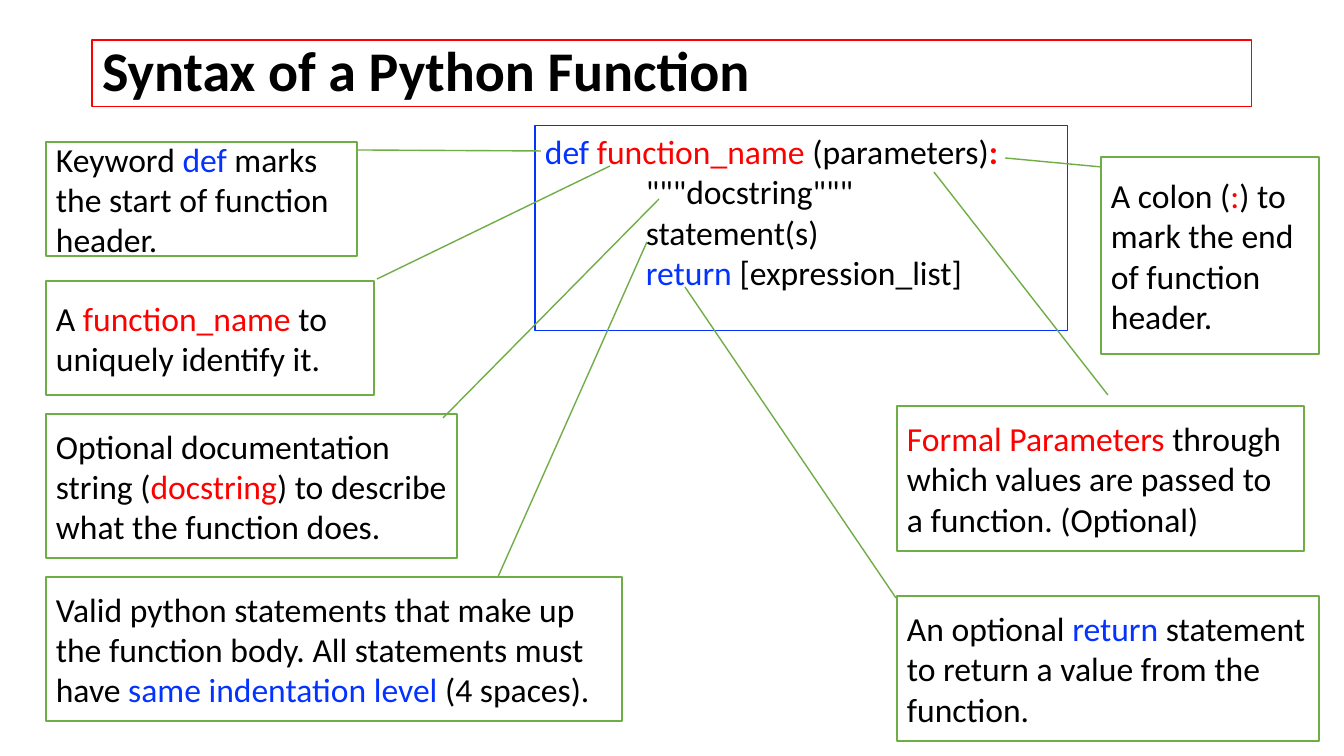
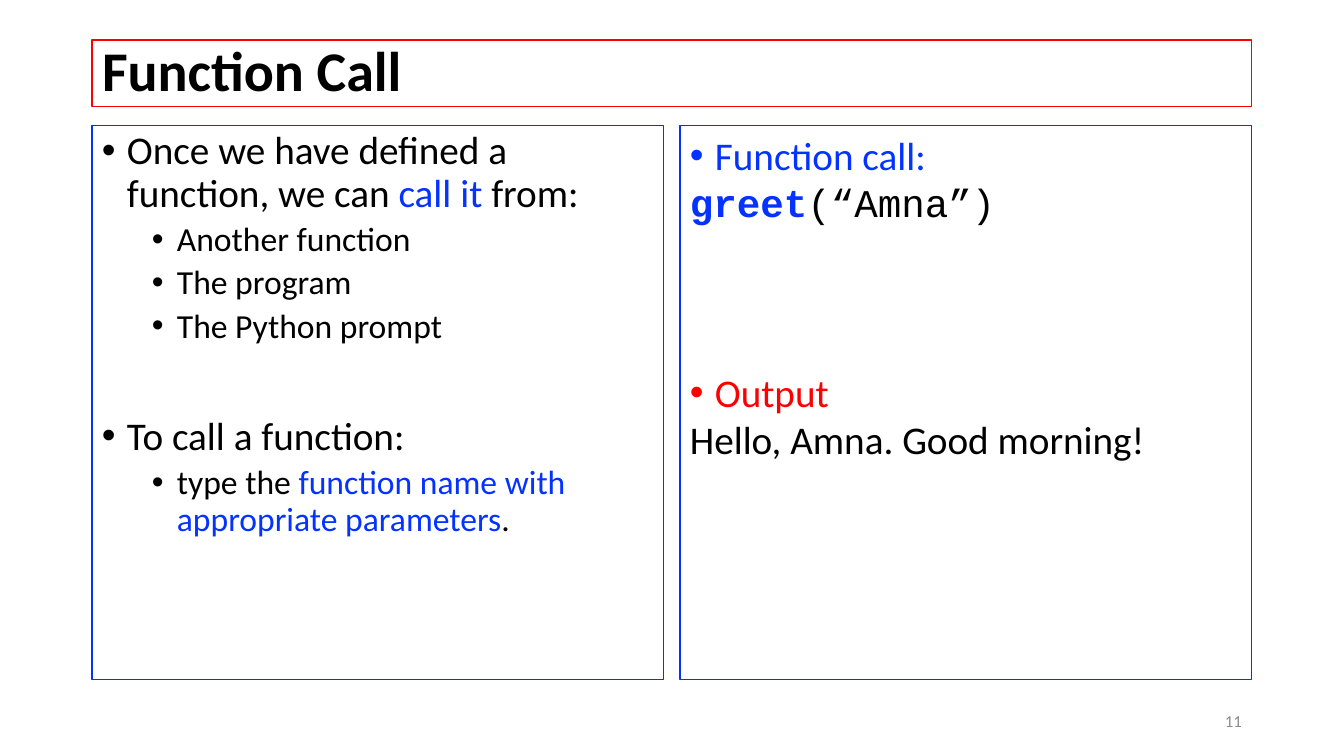
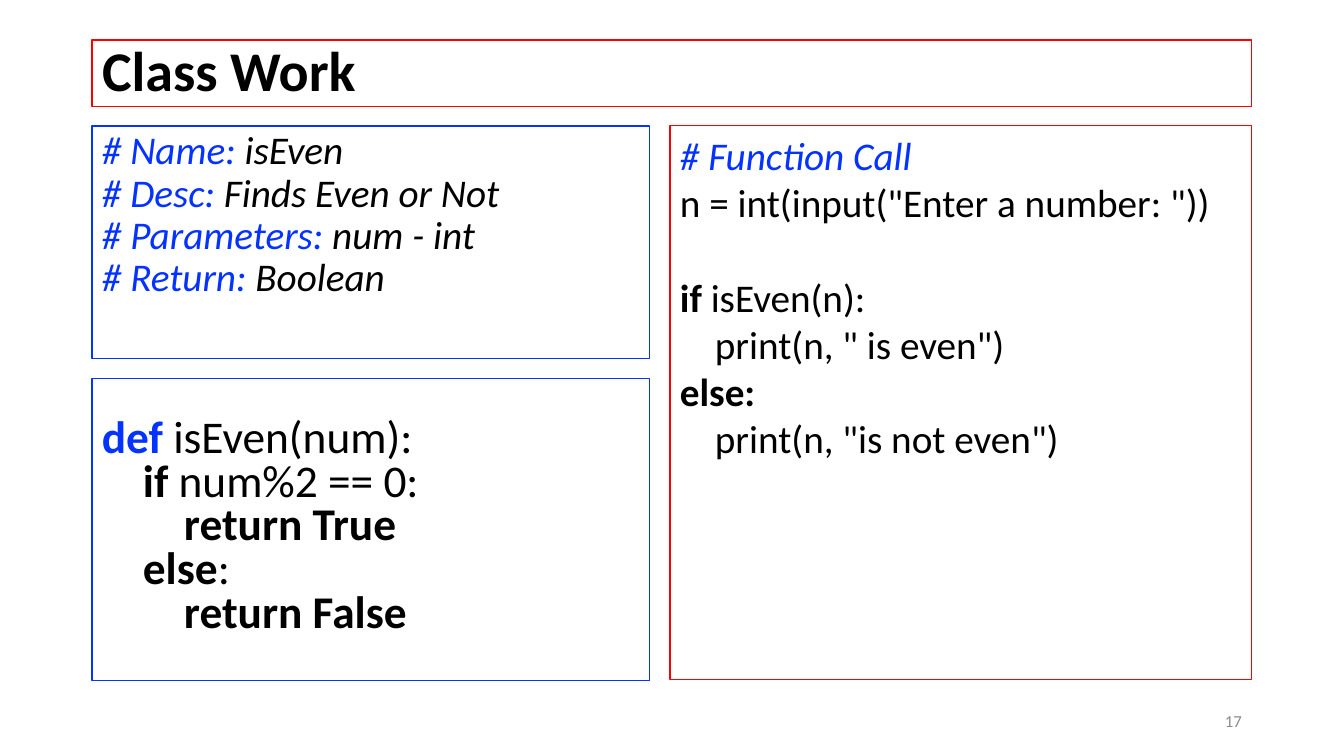
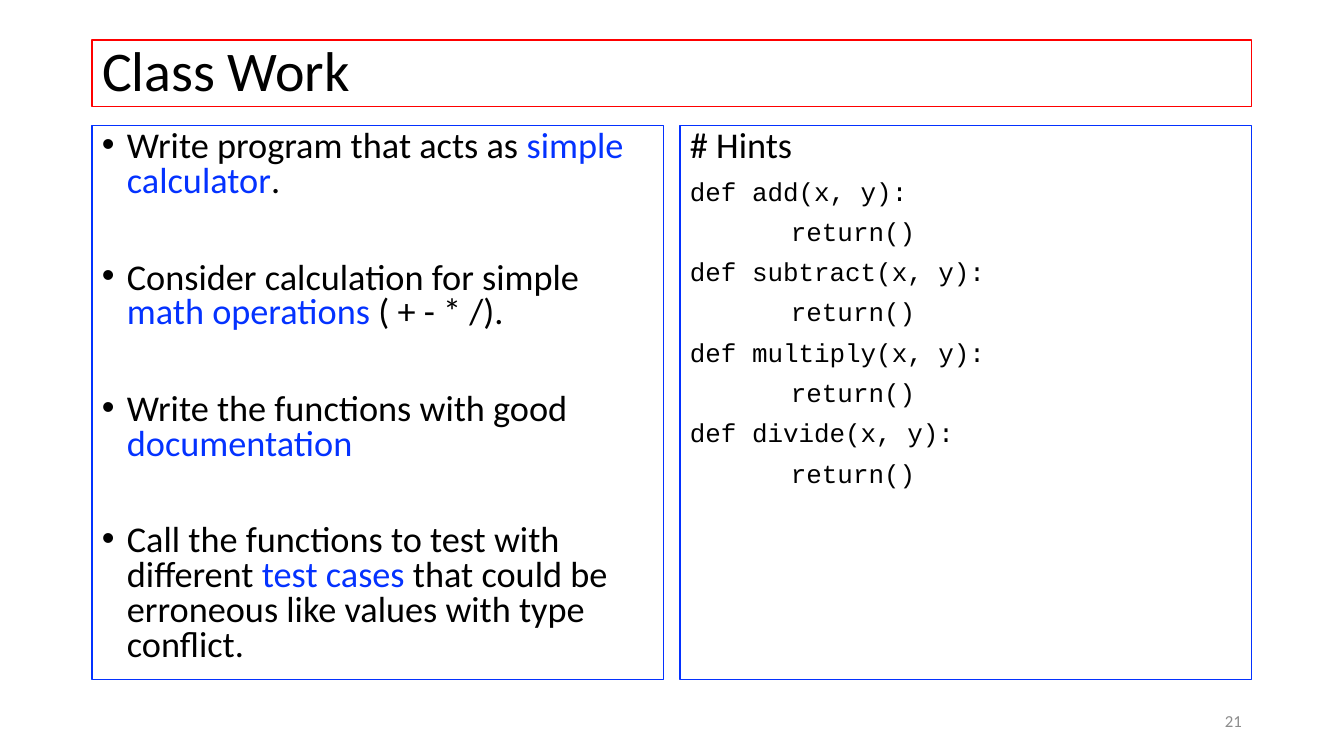
from dataclasses import dataclass

from lxml import etree
from pptx import Presentation
from pptx import util as u
from pptx.dml.color import RGBColor
from pptx.enum import shapes, text
from pptx.oxml.ns import qn

WIDTH, HEIGHT = 1344, 756
EMU_PER_PX = u.Inches(7.5) / HEIGHT


@dataclass(frozen=True)
class Theme:
    font: str = "Calibri"
    mono: str = "Courier New"
    black: RGBColor = RGBColor(0, 0, 0)
    white: RGBColor = RGBColor(255, 255, 255)
    blue: RGBColor = RGBColor(0x04, 0x32, 0xFF)
    red: RGBColor = RGBColor(0xFF, 0, 0)
    green: RGBColor = RGBColor(0x70, 0xAD, 0x47)
    grey: RGBColor = RGBColor(0x8C, 0x8C, 0x8C)
    title: float = 40
    body: float = 28
    small: float = 24
    listing: float = 32.4
    tight: float = 25.9
    mono_small: float = 18.5
    number: float = 12


THEME = Theme()
LEFT, TOP, PANEL_W, PANEL_H = 92, 126, 572, 554
RIGHT = 680
TAB = 101
ANCHOR = text.MSO_ANCHOR
ALIGN = text.PP_ALIGN


def px(n):
    return u.Emu(round(n * EMU_PER_PX))


def styled(words, **fmt):
    return words, fmt


def blue(words, **fmt):
    return styled(words, color=THEME.blue, **fmt)


def red(words, **fmt):
    return styled(words, color=THEME.red, **fmt)


def bold(words):
    return styled(words, bold=True)


def para(*runs, indent=0, bullet=False, before=0, **fmt):
    """Describe a paragraph; a run is a string or a (string, format) pair."""
    return {"runs": runs, "indent": indent, "bullet": bullet,
            "before": before, "fmt": fmt}


class Deck:
    def __init__(self, theme):
        self.theme = theme
        self.prs = Presentation()
        self.prs.slide_width, self.prs.slide_height = px(WIDTH), px(HEIGHT)
        self.s = None

    def slide(self, title, bold=True):
        self.s = self.prs.slides.add_slide(self.prs.slide_layouts[5])
        sp = self.s.shapes.title
        sp.left, sp.top, sp.width, sp.height = map(px, (LEFT, 40, 1160, 67))
        self.outline(sp, self.theme.red)
        self.set_text(sp.text_frame, [para(title, bold=bold)],
                      self.theme.title, spacing=0.9, anchor=ANCHOR.MIDDLE)

    def outline(self, sp, color, width=0.75):
        sp.line.color.rgb = color
        sp.line.width = u.Pt(width)

    def set_text(self, tf, paras, size, spacing=1.0, anchor=ANCHOR.TOP,
                 align=ALIGN.LEFT):
        frame = {"word_wrap": True, "auto_size": text.MSO_AUTO_SIZE.NONE,
                 "vertical_anchor": anchor}
        for name, value in frame.items():
            setattr(tf, name, value)
        for i, item in enumerate(paras):
            p = tf.add_paragraph() if i else tf.paragraphs[0]
            layout = {"alignment": align, "line_spacing": spacing,
                      "space_before": u.Pt(item["before"]),
                      "space_after": u.Pt(0)}
            for name, value in layout.items():
                setattr(p, name, value)
            self.indent(p, item["indent"], item["bullet"])
            for run in item["runs"]:
                words, fmt = (run, {}) if isinstance(run, str) else run
                self.run(p, words, {"size": size, **item["fmt"], **fmt})

    def indent(self, p, indent, bullet):
        hang = 25 if bullet else 0
        pPr = p._p.get_or_add_pPr()
        pPr.set("marL", str(px(indent + hang)))
        pPr.set("indent", str(-px(hang)))
        if bullet:
            etree.SubElement(pPr, qn("a:buFont"), typeface="Arial")
            etree.SubElement(pPr, qn("a:buChar"), char="•")
        else:
            etree.SubElement(pPr, qn("a:buNone"))

    def run(self, p, words, fmt):
        r = p.add_run()
        r.text = words
        fmt = {"name": self.theme.font, "color": self.theme.black,
               "bold": False, "italic": False, **fmt}
        r.font.color.rgb = fmt.pop("color")
        fmt["size"] = u.Pt(fmt["size"])
        for name, value in fmt.items():
            setattr(r.font, name, value)

    def panel(self, box, paras, size, spacing=1.0, color=None, inset=5):
        sp = self.s.shapes.add_shape(shapes.MSO_SHAPE.RECTANGLE,
                                     *map(px, box))
        sp.shadow.inherit = False
        sp.fill.background()
        self.outline(sp, color or self.theme.blue)
        sp.text_frame.margin_top = px(inset)
        self.set_text(sp.text_frame, paras, size, spacing)

    def callout(self, box, start, end, *runs):
        """Add a bordered note whose leader runs from start to end."""
        sp = self.s.shapes.add_shape(shapes.MSO_SHAPE.LINE_CALLOUT_1,
                                     *map(px, box))
        left, top, width, height = box
        for i, (x, y) in enumerate((start, end)):
            sp.adjustments[2 * i] = (y - top) / height
            sp.adjustments[2 * i + 1] = (x - left) / width
        sp.shadow.inherit = False
        sp.fill.solid()
        sp.fill.fore_color.rgb = self.theme.white
        self.outline(sp, self.theme.green, 1)
        self.set_text(sp.text_frame, [para(*runs)], self.theme.small,
                      anchor=ANCHOR.MIDDLE)

    def number(self, n):
        sp = self.s.shapes.add_textbox(*map(px, (950, 701, 302, 40)))
        self.set_text(sp.text_frame, [para(str(n), color=self.theme.grey)],
                      self.theme.number, anchor=ANCHOR.MIDDLE,
                      align=ALIGN.RIGHT)


def syntax_slide(deck):
    deck.slide("Syntax of a Python Function")
    deck.panel((535, TOP, 533, 205), [
        para(blue("def "), red("function_name"), " (parameters)",
             red(":", bold=True)),
        para('"""docstring"""', indent=TAB),
        para("statement(s)", indent=TAB),
        para(blue("return"), " [expression_list]", indent=TAB),
    ], THEME.small)
    notes = [
        ((46, 142, 311, 114), (357, 150), (541, 151),
         "Keyword ", blue("def"), " marks the start of function header."),
        ((46, 281, 328, 114), (377, 279), (610, 166),
         "A ", red("function_name "), "to uniquely identify it."),
        ((897, 406, 407, 145), (1108, 395), (934, 172),
         red("Formal Parameters"),
         " through which values are passed to a function. (Optional)"),
        ((1101, 157, 218, 197), (1101, 167), (1005, 158),
         "A colon (", red(":"), ") to mark the end of function header."),
        ((46, 414, 411, 144), (443, 418), (659, 199),
         "Optional documentation string (", red("docstring"),
         ") to describe what the function does."),
        ((46, 577, 576, 144), (498, 577), (647, 242),
         "Valid python statements that make up the function body. "
         "All statements must have ", blue("same indentation level "),
         "(4 spaces)."),
        ((897, 596, 422, 145), (896, 598), (685, 287),
         "An optional ", blue("return"),
         " statement to return a value from the function."),
    ]
    for note in notes:
        deck.callout(*note)


def call_slide(deck):
    deck.slide("Function Call")
    sub = {"indent": 50, "bullet": True, "before": 5, "size": THEME.small}
    callers = ("Another function", "The program", "The Python prompt")
    deck.panel((LEFT, TOP, PANEL_W, PANEL_H), [
        para("Once we have defined a function, we can ", blue("call it "),
             "from:", bullet=True),
        *(para(caller, **sub) for caller in callers),
        para("To call a function:", bullet=True, before=50.8),
        para("type the ", blue("function name with appropriate parameters"),
             ".", **sub),
    ], THEME.body, 0.9)
    deck.panel((RIGHT, TOP, PANEL_W, PANEL_H), [
        para(blue("Function call:"), bullet=True),
        para(blue("greet", bold=True), "(“Amna”)", name=THEME.mono),
        para(red("Output"), bullet=True, before=102.5),
        para("Hello, Amna. Good morning!"),
    ], THEME.body)
    deck.number(11)


def even_slide(deck):
    deck.slide("Class Work")
    header = {"Name:": "isEven", "Desc:": "Finds Even or Not",
              "Parameters:": "num - int", "Return:": "Boolean"}
    deck.panel((LEFT, TOP, 558, 233), [
        para(blue(f"# {key} "), value, italic=True)
        for key, value in header.items()
    ], THEME.body, 0.9)
    deck.number(17)
    deck.panel((670, TOP, 582, PANEL_H), [
        para(blue("# Function Call"), italic=True),
        para('n = int(input("Enter a number: "))'),
        para(bold("if "), "isEven(n):", before=34.2),
        para('print(n, " is even")', indent=35),
        para(bold("else:")),
        para('print(n, "is not even")', indent=35),
    ], THEME.body, color=THEME.red)
    step = 41
    deck.panel((LEFT, 379, 558, 302), [
        para(blue("def ", bold=True), "isEven(num):"),
        para(bold("if "), "num%2 == 0:", indent=step),
        para(bold("return True"), indent=2 * step),
        para(bold("else"), ":", indent=step),
        para(bold("return False"), indent=2 * step),
    ], THEME.listing, 0.8, inset=40)


def calculator_slide(deck):
    deck.slide("Class Work", bold=False)
    tasks = [
        ("Write program that acts as ", blue("simple calculator"), "."),
        ("Consider calculation for simple ", blue("math operations "),
         "( + - * /)."),
        ("Write the functions with good ", blue("documentation")),
        ("Call the functions to test with different ", blue("test cases "),
         "that could be erroneous like values with type conflict."),
    ]
    deck.panel((LEFT, TOP, PANEL_W, PANEL_H),
               [para(*task, bullet=True, before=44) for task in tasks],
               THEME.tight, 0.8)
    mono = {"name": THEME.mono, "size": THEME.mono_small, "before": 11}
    hints = [para("# Hints")]
    for name in ("add", "subtract", "multiply", "divide"):
        hints += [para(f"def {name}(x, y):", **mono),
                  para("return()", indent=TAB, **mono)]
    deck.panel((RIGHT, TOP, PANEL_W, PANEL_H), hints, THEME.tight, 0.8)
    deck.number(21)


def main():
    deck = Deck(THEME)
    for build in (syntax_slide, call_slide, even_slide, calculator_slide):
        build(deck)
    deck.prs.save("out.pptx")


if __name__ == "__main__":
    main()
